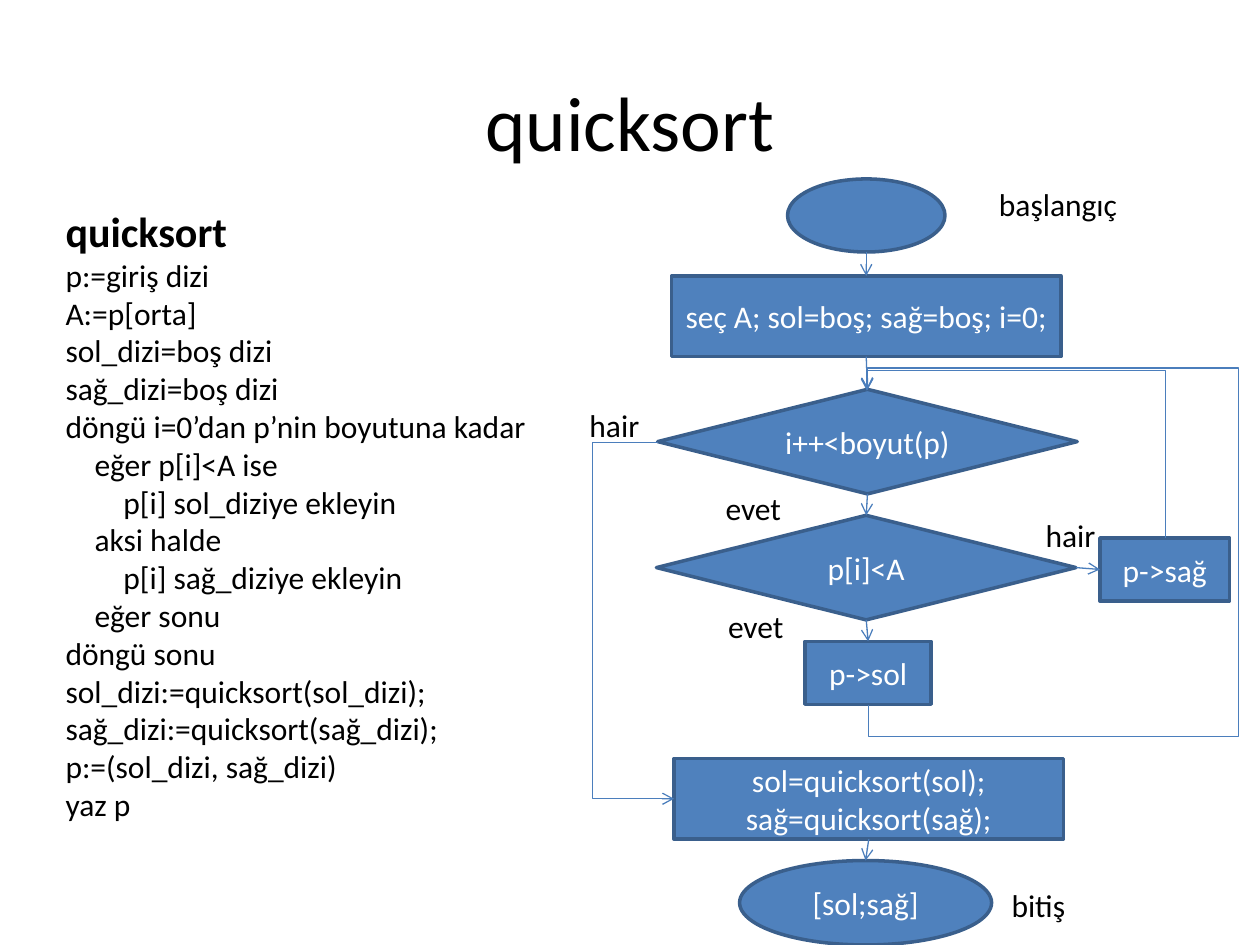
from dataclasses import dataclass
from typing import Optional

from pptx import Presentation
from pptx.dml.color import RGBColor
from pptx.enum.shapes import MSO_CONNECTOR, MSO_SHAPE
from pptx.enum.text import MSO_ANCHOR, MSO_AUTO_SIZE, PP_ALIGN
from pptx.oxml.ns import qn
from pptx.util import Inches, Pt
from lxml.etree import SubElement

BLACK = RGBColor(0, 0, 0)
WHITE = RGBColor(255, 255, 255)
BLUE = RGBColor(0x4F, 0x81, 0xBD)
EDGE = RGBColor(0x3A, 0x5F, 0x8C)
WIRE = RGBColor(0x4B, 0x7E, 0xBC)
TOP, LEFT, BASE, RIGHT = range(4)


@dataclass
class Node:
    kind: MSO_SHAPE
    box: tuple
    text: str = ""


@dataclass
class Link:
    start: str
    end: str
    out: int = BASE
    into: int = TOP


@dataclass
class Bend:
    box: tuple
    form: str
    bends: tuple
    turn: int = 0
    flip: Optional[str] = None


@dataclass
class Label:
    text: str
    box: tuple


OVAL, RECT, TEST = MSO_SHAPE.OVAL, MSO_SHAPE.RECTANGLE, MSO_SHAPE.FLOWCHART_DECISION
NODES = {
    "start": Node(OVAL, (6.25, 1.42, 1.25, 0.58)),
    "init": Node(RECT, (5.33, 2.19, 3.09, 0.64), "seç A; sol=boş; sağ=boş; i=0;"),
    "loop": Node(TEST, (5.22, 3.09, 3.33, 0.83), "i++<boyut(p)"),
    "less": Node(TEST, (5.21, 4.09, 3.33, 0.83), "p[i]<A"),
    "left": Node(RECT, (6.39, 5.09, 1, 0.5), "p->sol"),
    "right": Node(RECT, (8.73, 4.27, 1.03, 0.5), "p->sağ"),
    "sort": Node(RECT, (5.35, 6.02, 3.09, 0.64), "sol=quicksort(sol); sağ=quicksort(sağ);"),
    "end": Node(OVAL, (5.87, 6.83, 2, 0.67), "[sol;sağ]"),
}
LINKS = [
    Link("start", "init"), Link("init", "loop"), Link("loop", "less"),
    Link("less", "left"), Link("less", "right", RIGHT, LEFT), Link("sort", "end"),
]
BENDS = [
    Bend((5.64, 4.34, 2.5, 0.01), "bentConnector5", (-0.1, -298, 1.07), 90, "flipH"),
    Bend((7.48, 2.5, 1.17, 2.37), "bentConnector3", (1.135,), 270, "flipV"),
    Bend((5.22, 3.51, 0.13, 2.83), "bentConnector3", (-4,)),
]
LABELS = [
    Label("başlangıç", (7.83, 1.42, 1.17, 0.4)),
    Label("bitiş", (7.93, 6.98, 0.63, 0.4)),
    Label("hair", (4.58, 3.17, 0.75, 0.4)),
    Label("evet", (5.66, 3.83, 0.65, 0.4)),
    Label("evet", (5.68, 4.77, 0.66, 0.4)),
    Label("hair", (8.2, 4.05, 0.61, 0.4)),
]
CODE = [
    (0, "p:=giriş dizi"), (0, "A:=p[orta]"), (0, "sol_dizi=boş dizi"),
    (0, "sağ_dizi=boş dizi"), (0, "döngü i=0’dan p’nin boyutuna kadar"),
    (1, "eğer p[i]<A ise"), (2, "p[i] sol_diziye ekleyin"), (1, "aksi halde"),
    (2, "p[i] sağ_diziye ekleyin"), (1, "eğer sonu"), (0, "döngü sonu"),
    (0, "sol_dizi:=quicksort(sol_dizi);"), (0, "sağ_dizi:=quicksort(sağ_dizi);"),
    (0, "p:=(sol_dizi, sağ_dizi)"), (0, "yaz p"),
]


def inch(box: tuple) -> list:
    return [Inches(v) for v in box]


def write(para, text: str, size=18, color=BLACK, bold=False, align=PP_ALIGN.LEFT) -> None:
    para.alignment = align
    run = para.add_run()
    run.text = text
    font = run.font
    font.name, font.size, font.bold = "Calibri", Pt(size), bold
    font.color.rgb = color


def place(shape, box: tuple) -> None:
    shape.left, shape.top, shape.width, shape.height = inch(box)


def draw(slide, node: Node):
    shape = slide.shapes.add_shape(node.kind, *inch(node.box))
    shape.shadow.inherit = False
    shape.fill.solid()
    shape.fill.fore_color.rgb = BLUE
    shape.line.color.rgb = EDGE
    shape.line.width = Pt(2)
    if node.text:
        frame = shape.text_frame
        frame.word_wrap = True
        frame.vertical_anchor = MSO_ANCHOR.MIDDLE
        write(frame.paragraphs[0], node.text, color=WHITE, align=PP_ALIGN.CENTER)
    return shape


def wire(slide, kind: MSO_CONNECTOR, ends: list):
    line = slide.shapes.add_connector(kind, *ends)
    line.line.color.rgb = WIRE
    line.line.width = Pt(0.75)
    SubElement(line.line._get_or_add_ln(), qn("a:tailEnd"), type="arrow")
    SubElement(line._element.spPr, qn("a:effectLst"))
    return line


def spot(shape, side: int) -> tuple:
    across, down = [(0.5, 0), (0, 0.5), (0.5, 1), (1, 0.5)][side]
    return int(shape.left + shape.width * across), int(shape.top + shape.height * down)


def join(slide, link: Link, shapes: dict) -> None:
    start, end = shapes[link.start], shapes[link.end]
    ends = [*spot(start, link.out), *spot(end, link.into)]
    line = wire(slide, MSO_CONNECTOR.STRAIGHT, ends)
    if start.auto_shape_type != OVAL:
        line.begin_connect(start, link.out)
    line.end_connect(end, link.into)


def bend(slide, item: Bend) -> None:
    x, y, w, h = item.box
    line = wire(slide, MSO_CONNECTOR.ELBOW, inch((x, y, x + w, y + h)))
    props = line._element.spPr
    frame = props.find(qn("a:xfrm"))
    if item.turn:
        frame.set("rot", str(item.turn * 60000))
    if item.flip:
        frame.set(item.flip, "1")
    geom = props.find(qn("a:prstGeom"))
    geom.set("prst", item.form)
    guides = geom.find(qn("a:avLst"))
    if guides is None:
        guides = SubElement(geom, qn("a:avLst"))
    for num, part in enumerate(item.bends, 1):
        name = f"adj{num}"
        SubElement(guides, qn("a:gd"), name=name, fmla=f"val {round(part * 100000)}")


def label(slide, item: Label) -> None:
    frame = slide.shapes.add_textbox(*inch(item.box)).text_frame
    frame.word_wrap = False
    write(frame.paragraphs[0], item.text)


def code(shape) -> None:
    place(shape, (0.42, 1.58, 4.5, 5.05))
    frame = shape.text_frame
    frame.auto_size = MSO_AUTO_SIZE.NONE
    frame.vertical_anchor = MSO_ANCHOR.TOP
    write(frame.paragraphs[0], "quicksort", size=24, bold=True)
    for _, text in CODE:
        write(frame.add_paragraph(), text)
    for para, depth in zip(frame.paragraphs, [0] + [row[0] for row in CODE]):
        para.space_before = Pt(0)
        props = para._p.get_or_add_pPr()
        props.set("marL", str(Inches(0.23 * depth)))
        props.set("indent", "0")
        SubElement(props, qn("a:buNone"))


def main() -> None:
    deck = Presentation()
    deck.slide_width, deck.slide_height = Inches(10), Inches(7.5)
    slide = deck.slides.add_slide(deck.slide_layouts[1])
    title, body = slide.placeholders
    place(title, (0.5, 0.33, 9, 1.25))
    title.text_frame.vertical_anchor = MSO_ANCHOR.MIDDLE
    write(title.text_frame.paragraphs[0], "quicksort", size=44, align=PP_ALIGN.CENTER)
    code(body)
    shapes = {name: draw(slide, node) for name, node in NODES.items()}
    for link in LINKS:
        join(slide, link, shapes)
    for item in BENDS:
        bend(slide, item)
    for item in LABELS:
        label(slide, item)
    deck.save("out.pptx")


main()
